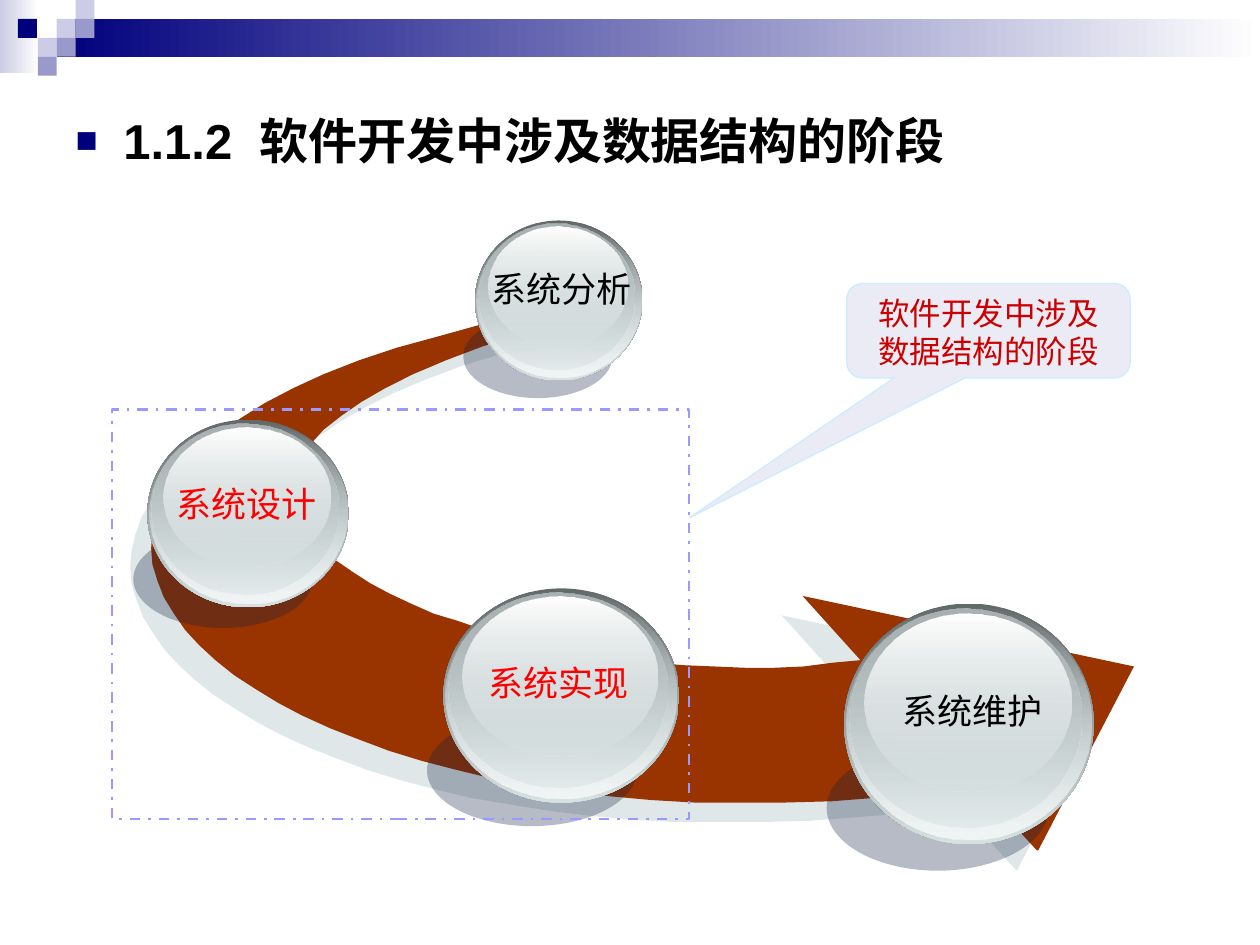
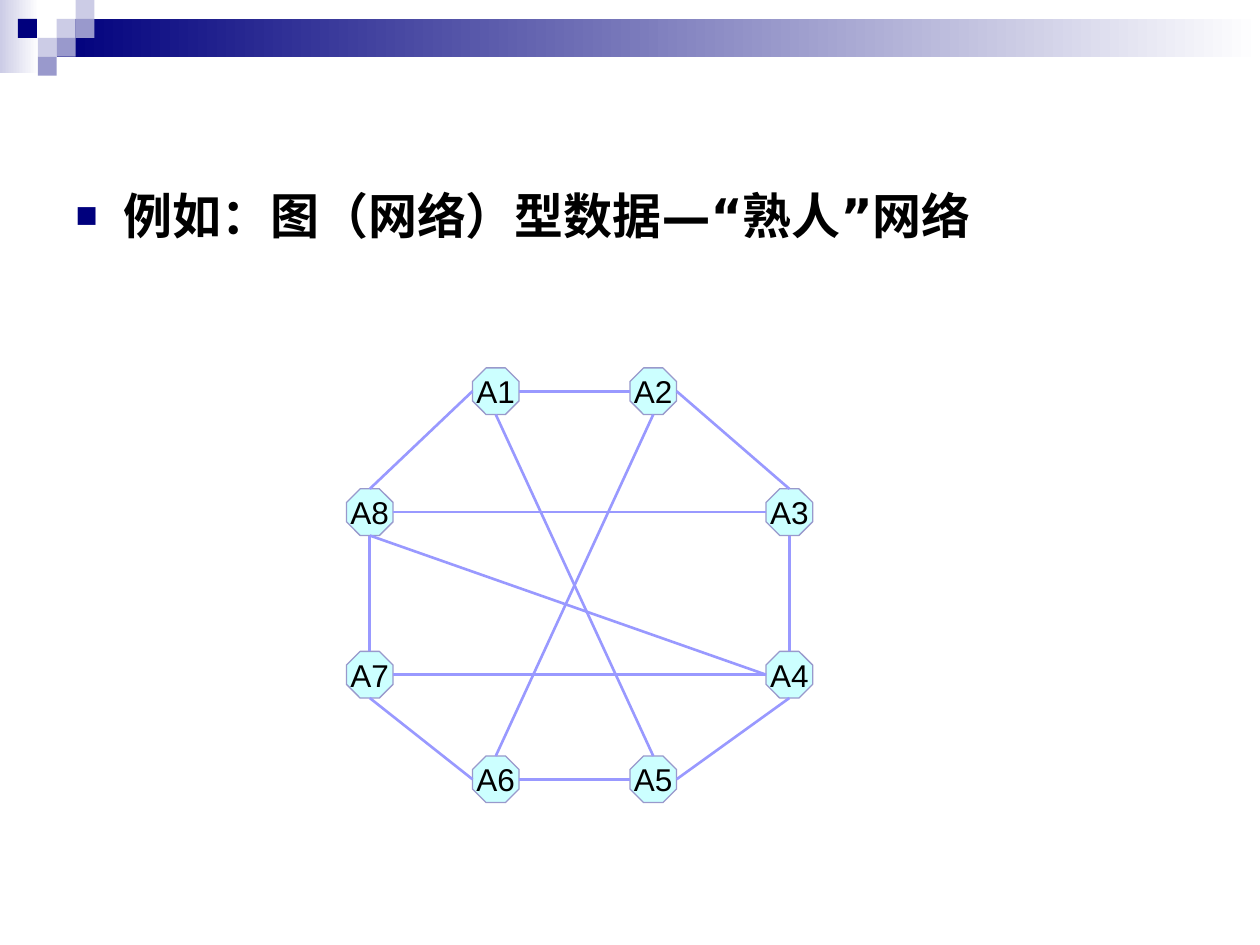
from lxml import etree
from pptx import Presentation
from pptx.dml.color import RGBColor
from pptx.enum.dml import MSO_LINE
from pptx.enum.shapes import MSO_CONNECTOR, MSO_SHAPE
from pptx.enum.text import MSO_ANCHOR, MSO_AUTO_SIZE, PP_ALIGN
from pptx.oxml.ns import qn
from pptx.util import Inches, Pt

RECT, OVAL, OCTAGON = MSO_SHAPE.RECTANGLE, MSO_SHAPE.OVAL, MSO_SHAPE.OCTAGON
CALLOUT = MSO_SHAPE.ROUNDED_RECTANGULAR_CALLOUT
STRAIGHT, DASH_DOT = MSO_CONNECTOR.STRAIGHT, MSO_LINE.DASH_DOT
TOP, MIDDLE = MSO_ANCHOR.TOP, MSO_ANCHOR.MIDDLE
LEFT, CENTER = PP_ALIGN.LEFT, PP_ALIGN.CENTER
FIXED = MSO_AUTO_SIZE.NONE

BLACK = RGBColor(0x00, 0x00, 0x00)
WHITE = RGBColor(0xFF, 0xFF, 0xFF)
NAVY = RGBColor(0x00, 0x00, 0x7D)
PALE = RGBColor(0xCC, 0xCC, 0xE6)
LILAC = RGBColor(0x99, 0x99, 0xCC)
VIOLET = RGBColor(0x99, 0x99, 0xFF)
RED = RGBColor(0xFF, 0x00, 0x00)
CRIMSON = RGBColor(0xCC, 0x00, 0x00)
RUST = RGBColor(0x99, 0x33, 0x00)
INK = RGBColor(0x0F, 0x21, 0x45)
STEEL = RGBColor(0x63, 0x68, 0x69)
GREY = RGBColor(0xAA, 0xB2, 0xB3)
MIST = RGBColor(0xD6, 0xE1, 0xE2)
FROST = RGBColor(0xF1, 0xF5, 0xF5)
CLOUD = RGBColor(0xEB, 0xEB, 0xF5)
SKY = RGBColor(0xCC, 0xEC, 0xFF)
AQUA = RGBColor(0xCC, 0xFF, 0xFF)
LATIN, ASIAN, NOTO = "Arial", "DejaVu Sans", "Noto Sans CJK JP"


def draw(slide, kind, box, stops, angle=0):
    """Add a shape without line; stops are (colour, opacity %) pairs."""
    shape = slide.shapes.add_shape(kind, *[Inches(v) for v in box])
    shape.shadow.inherit = False
    shape.line.fill.background()
    if not stops:
        shape.fill.background()
    elif len(stops) == 1:
        shape.fill.solid()
        shape.fill.fore_color.rgb = stops[0][0]
    else:
        shape.fill.gradient()
        shape.fill.gradient_angle = angle
        for stop, (colour, _) in zip(shape.fill.gradient_stops, stops):
            stop.color.rgb = colour
    tags = shape.element.spPr.iter(qn("a:srgbClr"))
    for tag, (_, alpha) in zip(list(tags), stops):
        if alpha < 100:
            etree.SubElement(tag, qn("a:alpha"), val=str(alpha * 1000))
    return shape


def write(para, text, size, colour, font=LATIN, bold=False):
    run = para.add_run()
    run.text = text
    run.font.size, run.font.bold, run.font.name = Pt(size), bold, font
    run.font.color.rgb = colour
    etree.SubElement(run.font._element, qn("a:ea"), typeface=ASIAN)
    return run


deck = Presentation()
deck.slide_width, deck.slide_height = Inches(10), Inches(7.5)
layout = deck.slide_layouts[5]

# Title placeholders with a square bullet
slides = []
for top, height in [(0.83, 0.58), (1.42, 5.33)]:
    slide = deck.slides.add_slide(layout)
    title = slide.shapes.title
    title.left, title.top = Inches(0.5), Inches(top)
    title.width, title.height = Inches(9), Inches(height)
    frame = title.text_frame
    frame.auto_size, frame.vertical_anchor = FIXED, TOP
    para = frame.paragraphs[0]
    para.alignment = LEFT
    props = para._p.get_or_add_pPr()
    props.set("marL", str(Inches(0.38)))
    props.set("indent", str(-Inches(0.38)))
    tint = etree.SubElement(props, qn("a:buClr"))
    etree.SubElement(tint, qn("a:srgbClr"), val=str(NAVY))
    etree.SubElement(props, qn("a:buSzPct"), val="75000")
    etree.SubElement(props, qn("a:buFont"), typeface=LATIN)
    etree.SubElement(props, qn("a:buChar"), char="■")
    slides.append(slide)
stages, graph = slides

# Header band and squares, moved into the shared layout
SIDE = 0.15
header = [
    ((0, 0, 0.31, 0.58), [(PALE, 100), (WHITE, 100)]),
    ((0.45, 0.15, 9.55, 0.3), [(NAVY, 100), (WHITE, 100)]),
]
for col, row, colour in [(3, 1, PALE), (4, 0, PALE), (4, 1, LILAC), (2, 2, PALE),
                         (0.95, 1, NAVY), (3, 2, LILAC), (2, 3, LILAC)]:
    header.append(((col * SIDE, row * SIDE, SIDE, SIDE), [(colour, 100)]))
for num, (box, stops) in enumerate(header, 20):
    shape = draw(stages, RECT, box, stops)
    shape.element.nvSpPr.cNvPr.set("id", str(num))
    layout.shapes.element.append(shape.element)

# Slide 1: title
para = stages.shapes.title.text_frame.paragraphs[0]
write(para, "1.1.2", 28, BLACK, bold=True)
gap = write(para, " ", 28, BLACK, bold=True)
gap.font._element.set("spc", "780")
write(para, "软件开发中涉及数据结构的阶段", 28, BLACK, bold=True)

# Curved arrow, points in hundredths of an inch
curve = [
    (464, 242), (422, 249), (384, 257), (348, 267), (315, 276), (285, 286),
    (257, 297), (233, 308), (210, 320), (191, 332), (173, 344), (159, 357),
    (147, 369), (137, 382), (129, 395), (124, 409), (121, 422), (120, 435),
    (121, 448), (125, 461), (130, 474), (138, 487), (147, 500), (158, 512),
    (171, 524), (186, 536), (203, 547), (221, 558), (240, 568), (262, 578),
    (285, 587), (309, 596), (335, 604), (362, 611), (391, 618), (421, 623),
    (452, 628), (484, 632), (517, 635), (551, 637), (586, 637), (623, 637),
    (660, 636), (698, 633), (737, 630), (777, 625), (823, 675), (824, 675),
    (900, 529), (637, 473), (683, 524), (661, 526), (638, 529), (615, 530),
    (591, 530), (567, 529), (543, 528), (519, 526), (495, 524), (472, 520),
    (449, 516), (427, 511), (405, 506), (384, 500), (364, 493), (344, 487),
    (326, 479), (309, 471), (294, 463), (280, 454), (267, 445), (257, 436),
    (248, 426), (241, 416), (236, 406), (234, 395), (234, 385), (235, 374),
    (240, 363), (247, 352), (257, 341), (271, 330), (287, 319), (306, 308),
    (328, 297), (354, 286), (383, 275), (416, 265), (453, 254), (493, 244),
]
pen = stages.shapes.build_freeform(*curve[0], scale=Inches(0.01))
pen.add_line_segments(curve[1:], close=True)
arrow = pen.convert_to_shape()
arrow.fill.solid()
arrow.fill.fore_color.rgb = RUST
arrow.line.fill.background()
arrow.shadow.inherit = False
effect = arrow.element.spPr.find(qn("a:effectLst"))
shade = etree.SubElement(effect, qn("a:outerShdw"), blurRad="0", dist=str(Pt(16.3)),
                         dir=str(137 * 60000), algn="ctr", rotWithShape="0")
tint = etree.SubElement(shade, qn("a:srgbClr"), val="C1D1D3")
etree.SubElement(tint, qn("a:alpha"), val="50000")

# Glass balls: each layer is a share of the ball's own box
layers = [
    ((-0.07, 0.59, 0.89, 0.52), [(INK, 30)]),
    ((0, 0, 1, 1), [(STEEL, 100), (MIST, 100)]),
    ((0.01, 0.01, 0.98, 0.97), [(MIST, 0), (FROST, 100)]),
    ((0.02, 0.02, 0.93, 0.91), [(GREY, 100), (MIST, 48)]),
    ((0.08, 0.04, 0.83, 0.74), [(WHITE, 100), (MIST, 38)]),
]
balls = [
    ((3.77, 1.75, 1.33, 1.27), "系统分析", (3.7, 2.12, 1.52, 0.34), NOTO, BLACK),
    ((1.17, 3.33, 1.6, 1.49), "系统设计", (1.37, 3.83, 1.18, 0.33), ASIAN, RED),
    ((3.52, 4.67, 1.87, 1.7), "系统实现", (3.72, 5.25, 1.42, 0.33), NOTO, RED),
    ((6.7, 4.79, 1.98, 1.91), "系统维护", (6.97, 5.47, 1.5, 0.34), NOTO, BLACK),
]
for (x, y, w, h), text, area, font, colour in balls:
    for (dx, dy, sx, sy), stops in layers:
        draw(stages, OVAL, (x + dx * w, y + dy * h, sx * w, sy * h), stops, 270)
    label = stages.shapes.add_textbox(*[Inches(v) for v in area])
    frame = label.text_frame
    frame.word_wrap = True
    frame.margin_left = frame.margin_right = 0
    frame.margin_top = frame.margin_bottom = 0
    para = frame.paragraphs[0]
    para.alignment = CENTER
    write(para, text, 20, colour, font)

# Dashed frame and callout
border = draw(stages, RECT, (0.89, 3.25, 4.58, 3.25), [])
border.line.color.rgb = VIOLET
border.line.width = Pt(1.5)
border.line.dash_style = DASH_DOT

note = draw(stages, CALLOUT, (6.72, 2.25, 2.25, 0.75), [(CLOUD, 100)])
for i, value in enumerate([-1.055, 1.979, 0.167]):
    note.adjustments[i] = value
note.line.color.rgb = SKY
note.line.width = Pt(0.75)
note.text_frame.word_wrap = True
note.text_frame.vertical_anchor = TOP
para = note.text_frame.paragraphs[0]
para.alignment = CENTER
write(para, "软件开发中涉及数据结构的阶段", 18, CRIMSON)

# Slide 2: title
para = graph.shapes.title.text_frame.paragraphs[0]
write(para, "例如：图（网络）型数据—“熟人”网络", 28, BLACK, bold=True)

# Network nodes
SIZE = 0.37
nodes = {
    "A1": (3.75, 2.92), "A2": (5, 2.92), "A3": (6.08, 3.88), "A4": (6.08, 5.17),
    "A5": (5, 6), "A6": (3.75, 6), "A7": (2.75, 5.17), "A8": (2.75, 3.88),
}
for name, (x, y) in nodes.items():
    node = draw(graph, OCTAGON, (x, y, SIZE, SIZE), [(AQUA, 100)])
    node.adjustments[0] = 0.293
    node.line.color.rgb = LILAC
    node.line.width = Pt(0.75)
    node.text_frame.word_wrap = False
    node.text_frame.vertical_anchor = MIDDLE
    para = node.text_frame.paragraphs[0]
    para.alignment = CENTER
    write(para, name, 18, BLACK)

# Network links between node sides
sides = {"top": (0.5, 0), "low": (0.5, 1), "left": (0, 0.5), "right": (1, 0.5)}
links = [
    ("A1", "right", "A2", "left"), ("A3", "top", "A2", "right"),
    ("A4", "top", "A3", "low"), ("A5", "right", "A4", "low"),
    ("A6", "right", "A5", "left"), ("A7", "low", "A6", "left"),
    ("A1", "left", "A8", "top"), ("A7", "top", "A8", "low"),
    ("A1", "low", "A5", "top"), ("A6", "top", "A2", "low"),
    ("A8", "right", "A3", "left"), ("A7", "right", "A4", "left"),
    ("A8", "low", "A4", "left"),
]
for start, out, end, into in links:
    ends = []
    for name, side in [(start, out), (end, into)]:
        for base, share in zip(nodes[name], sides[side]):
            ends.append(Inches(base + share * SIZE))
    link = graph.shapes.add_connector(STRAIGHT, *ends)
    link.line.color.rgb = VIOLET
    link.line.width = Pt(1.5)
    etree.SubElement(link.element.spPr, qn("a:effectLst"))

deck.save("out.pptx")
